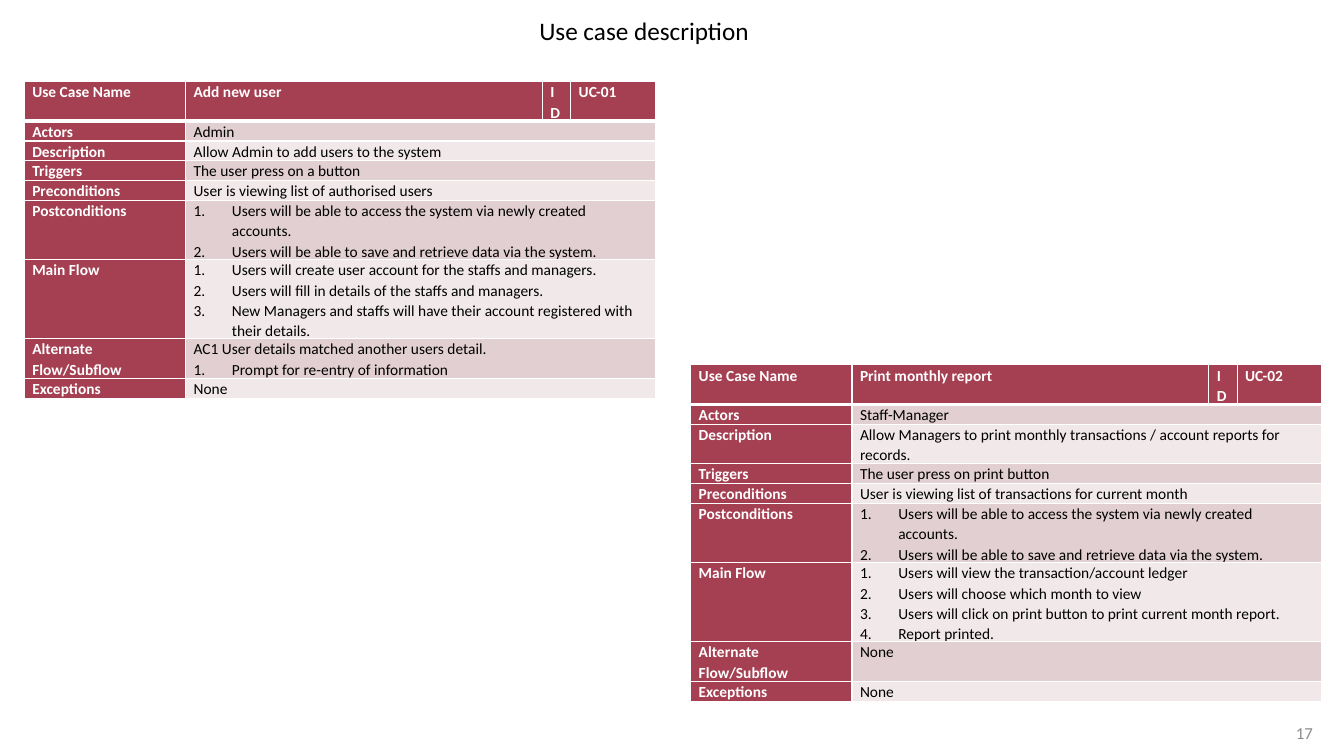
from lxml.etree import SubElement
from pptx import Presentation
from pptx.dml.color import RGBColor
from pptx.enum.text import MSO_ANCHOR as Anchor, PP_ALIGN as Align
from pptx.oxml.ns import qn
from pptx.util import Inches, Pt

WHITE = RGBColor(0xFF, 0xFF, 0xFF)
BLACK = RGBColor(0, 0, 0)
GRAY = RGBColor(0x8C, 0x8C, 0x8C)
WINE = RGBColor(0xA5, 0x3F, 0x52)
ROSE = RGBColor(0xE1, 0xCF, 0xD1)
PALE = RGBColor(0xF0, 0xE8, 0xE9)

WIDTHS = (1.6, 3.54, 0.28, 0.84)
LINE = 0.19
HEAD_LINES = 2
LABELS = ("Actors", "Description", "Triggers", "Preconditions", "Postconditions",
          "Main Flow", "Alternate Flow/Subflow", "Exceptions")
ACCESS = (
    "Users will be able to access the system via newly created accounts.",
    "Users will be able to save and retrieve data via the system.",
)

# Each row: number of text lines, plain text, numbered steps
ADD_USER = (
    (1, "Admin", ()),
    (1, "Allow Admin to add users to the system", ()),
    (1, "The user press on a button", ()),
    (1, "User is viewing list of authorised users", ()),
    (3, "", ACCESS),
    (4, "", (
        "Users will create user account for the staffs and managers.",
        "Users will fill in details of the staffs and managers.",
        "New Managers and staffs will have their account registered with their details.",
    )),
    (2, "AC1 User details matched another users detail.",
     ("Prompt for re-entry of information",)),
    (1, "None", ()),
)
PRINT_REPORT = (
    (1, "Staff-Manager", ()),
    (2, "Allow Managers to print monthly transactions / account reports for records.", ()),
    (1, "The user press on print button", ()),
    (1, "User is viewing list of transactions for current month", ()),
    (3, "", ACCESS),
    (4, "", (
        "Users will view the transaction/account ledger",
        "Users will choose which month to view",
        "Users will click on print button to print current month report.",
        "Report printed.",
    )),
    (2, "None", ()),
    (1, "None", ()),
)


def style(run, size, color, bold=False):
    font = run.font
    font.name = "Calibri"
    font.size = Pt(size)
    font.bold = bold
    font.color.rgb = color


def add_label(slide, box, text, size, color, align=Align.LEFT, anchor=Anchor.TOP):
    frame = slide.shapes.add_textbox(*map(Inches, box)).text_frame
    frame.word_wrap = True
    frame.vertical_anchor = anchor
    frame.text = text
    para = frame.paragraphs[0]
    para.alignment = align
    style(para.runs[0], size, color)


def add_border(cell, side, width):
    props = cell._tc.get_or_add_tcPr()
    line = SubElement(props, qn(f"a:ln{side}"), w=str(Pt(width)))
    fill = SubElement(line, qn("a:solidFill"))
    SubElement(fill, qn("a:srgbClr"), val=str(WHITE))


def set_number(para):
    props = para._p.get_or_add_pPr()
    props.set("marL", str(Inches(0.38)))
    props.set("indent", str(-Inches(0.38)))
    SubElement(props, qn("a:buFont"), typeface="+mj-lt")
    SubElement(props, qn("a:buAutoNum"), type="arabicPeriod")


def fill_cell(cell, fill, color, bold, text, steps=()):
    cell.fill.solid()
    cell.fill.fore_color.rgb = fill
    cell.margin_left = cell.margin_right = Inches(0.08)
    cell.margin_top = cell.margin_bottom = 0
    texts = ([text] if text else []) + list(steps)
    cell.text_frame.text = "\n".join(texts)
    paras = cell.text_frame.paragraphs
    for para in paras[len(texts) - len(steps):]:
        set_number(para)
    for para in paras:
        para.line_spacing = 1.07
        style(para.runs[0], 11, color, bold)


def add_case(slide, left, top, name, code, rows):
    """Add one use case table."""
    lines = [HEAD_LINES] + [row[0] for row in rows]
    table = slide.shapes.add_table(
        len(lines), len(WIDTHS), Inches(left), Inches(top),
        Inches(sum(WIDTHS)), Inches(LINE * sum(lines))).table
    table.first_row = table.horz_banding = False
    for column, width in zip(table.columns, WIDTHS):
        column.width = Inches(width)
    for index, count in enumerate(lines):
        table.rows[index].height = Inches(LINE * count)
        for cell in table.rows[index].cells:
            for side in "LRTB":
                thick = (index, side) in ((0, "B"), (1, "T"))
                add_border(cell, side, 3 if thick else 1)

    for col, text in enumerate(("Use Case Name", name, "ID", code)):
        fill_cell(table.cell(0, col), WINE, WHITE, True, text)
    for index, (label, (_, text, steps)) in enumerate(zip(LABELS, rows), 1):
        fill_cell(table.cell(index, 0), WINE, WHITE, True, label)
        detail = table.cell(index, 1)
        detail.merge(table.cell(index, 3))
        fill_cell(detail, ROSE if index % 2 else PALE, BLACK, False, text, steps)


def main():
    deck = Presentation()
    deck.slide_width = Inches(13.33)
    deck.slide_height = Inches(7.5)
    slide = deck.slides.add_slide(deck.slide_layouts[6])

    add_label(slide, (12.63, 7.07, 0.49, 0.4), "17", 12, GRAY,
              align=Align.RIGHT, anchor=Anchor.MIDDLE)
    add_case(slide, 0.24, 0.81, "Add new user", "UC-01", ADD_USER)
    add_case(slide, 6.85, 3.62, "Print monthly report", "UC-02", PRINT_REPORT)
    add_label(slide, (5.25, 0.1, 2.78, 0.4), "Use case description", 18, BLACK)
    deck.save("out.pptx")


if __name__ == "__main__":
    main()
